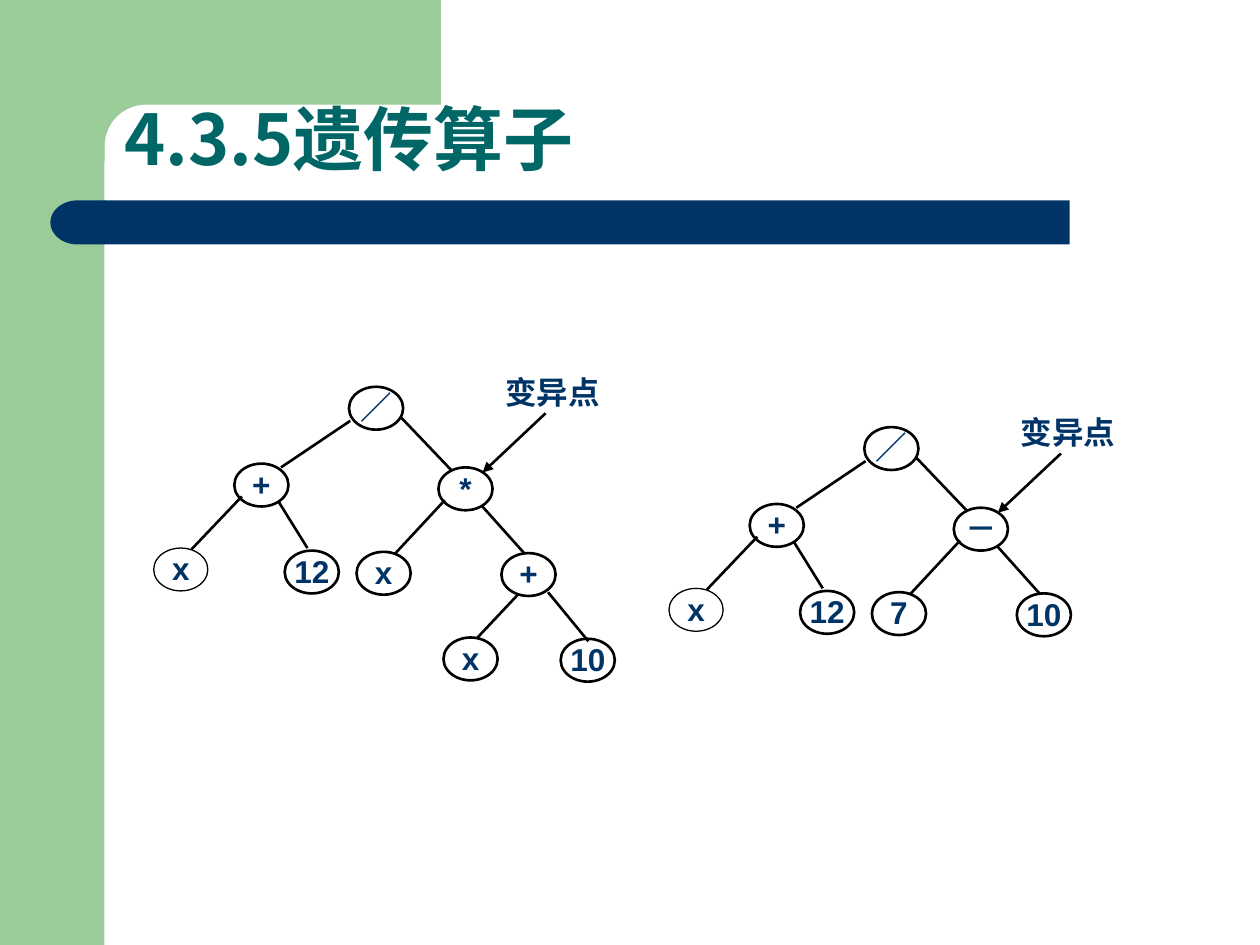
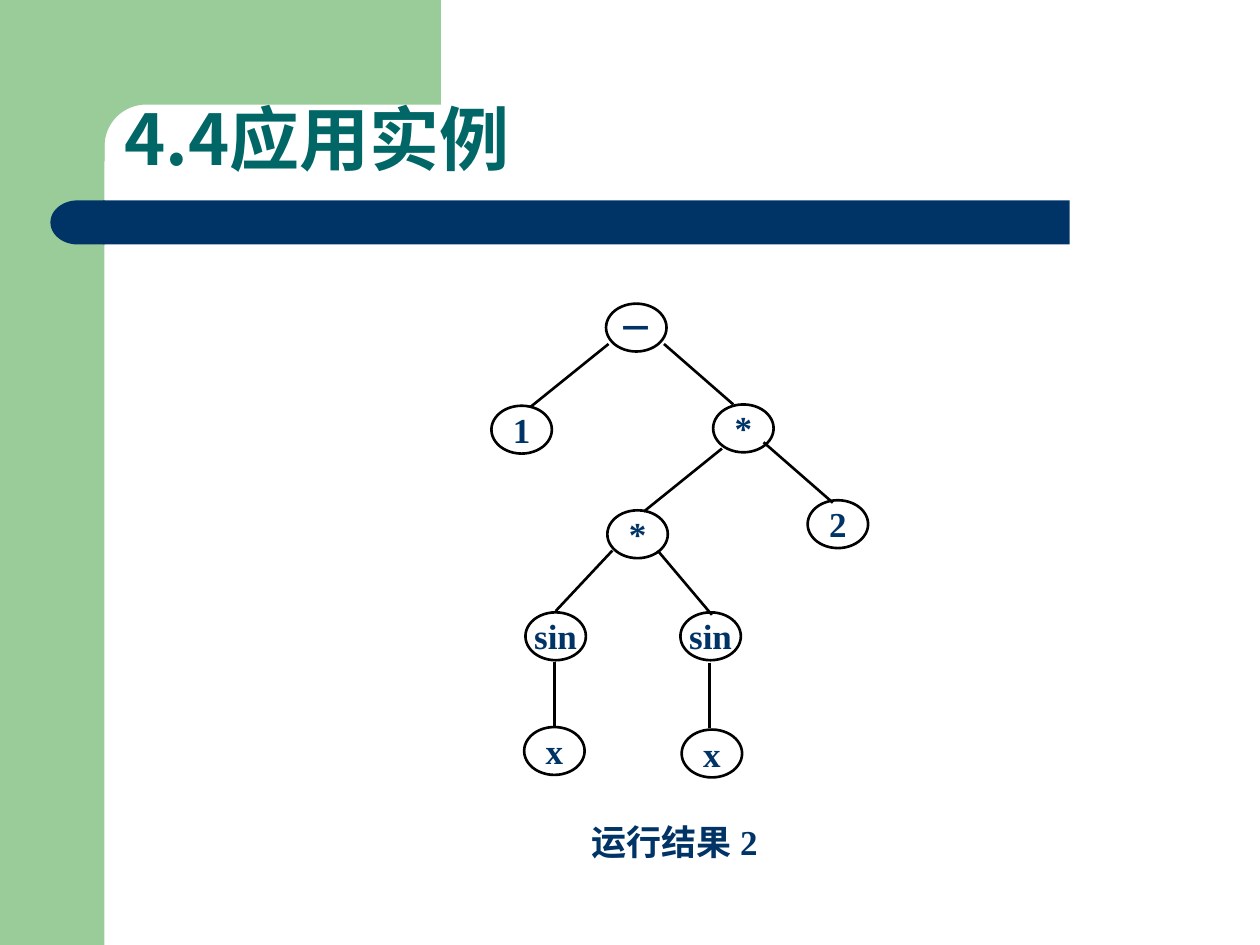
from dataclasses import dataclass
from math import cos, pi, sin

from lxml import etree
from pptx import Presentation
from pptx.dml.color import RGBColor
from pptx.enum.shapes import MSO_CONNECTOR, MSO_SHAPE
from pptx.enum.text import MSO_ANCHOR, PP_ALIGN
from pptx.oxml.ns import qn
from pptx.util import Inches, Pt

RECTANGLE = MSO_SHAPE.RECTANGLE
OVAL = MSO_SHAPE.OVAL
DELAY = MSO_SHAPE.FLOWCHART_DELAY
STRAIGHT = MSO_CONNECTOR.STRAIGHT
LEFT, CENTER, JUSTIFY = PP_ALIGN.LEFT, PP_ALIGN.CENTER, PP_ALIGN.JUSTIFY
TOP, BOTTOM = MSO_ANCHOR.TOP, MSO_ANCHOR.BOTTOM


@dataclass(frozen=True)
class Theme:
    """Colours, fonts and sizes shared by the slides."""
    green: str = "99CC99"
    navy: str = "003366"
    teal: str = "006666"
    white: str = "FFFFFF"
    black: str = "000000"
    chinese: str = "Noto Sans CJK SC"
    sans: str = "Arial"
    serif: str = "Times New Roman"
    title_size: float = 40
    small_size: float = 18
    large_size: float = 20
    line_width: float = 1.5
    thin_width: float = 0.75


@dataclass(frozen=True)
class NodeStyle:
    """Size and lettering of the nodes of a tree."""
    width: float
    height: float
    inset_y: float
    font: str
    size: float


THEME = Theme()
SMALL_NODE = NodeStyle(0.43, 0.34, 0.01, THEME.sans, THEME.small_size)
LARGE_NODE = NodeStyle(0.48, 0.38, 0.02, THEME.serif, THEME.large_size)
NODE_INSET_X = 0.06


def color(value):
    """Turn a hex string into a colour."""
    return RGBColor.from_string(value)


def add_text(slide, text, box, *, font, size, fill=THEME.navy, align=CENTER,
             anchor=TOP, insets=(0, 0), spacing=None):
    """Add a bold one-paragraph text box."""
    frame = slide.shapes.add_textbox(*map(Inches, box)).text_frame
    frame.word_wrap = True
    frame.vertical_anchor = anchor
    frame.margin_left = frame.margin_right = Inches(insets[0])
    frame.margin_top = frame.margin_bottom = Inches(insets[1])
    paragraph = frame.paragraphs[0]
    paragraph.alignment = align
    if spacing:
        paragraph.line_spacing = spacing
    run = paragraph.add_run()
    run.text = text
    run.font.name = font
    run.font.size = Pt(size)
    run.font.bold = True
    run.font.color.rgb = color(fill)
    east_asian = etree.SubElement(run.font._element, qn("a:ea"))
    east_asian.set("typeface", THEME.chinese)


def paint(shape, fill, line=None, width=THEME.line_width):
    """Give a shape a flat fill and an optional outline."""
    shape.shadow.inherit = False
    shape.fill.solid()
    shape.fill.fore_color.rgb = color(fill)
    if line:
        shape.line.color.rgb = color(line)
        shape.line.width = Pt(width)
    else:
        shape.line.fill.background()


def add_shape(slide, kind, box, fill, **outline):
    """Add a painted preset shape."""
    shape = slide.shapes.add_shape(kind, *map(Inches, box))
    paint(shape, fill, **outline)
    return shape


def add_corner(slide):
    """Draw the top green block with its rounded inner corner."""
    center, radius, steps = 1.16, 0.33, 16
    angles = [pi / 2 * step / steps for step in range(steps + 1)]
    arc = [(center - radius * sin(angle), center - radius * cos(angle))
           for angle in angles]
    outline = [(3.5, 0), (3.5, 0.83), *arc, (0.83, 1.28), (0.5, 1.28)]
    builder = slide.shapes.build_freeform(Inches(0.5), 0)
    builder.add_line_segments([(Inches(x), Inches(y)) for x, y in outline])
    paint(builder.convert_to_shape(), THEME.green)


def add_titled_slide(presentation, title):
    """Add a slide with the shared bands and its title."""
    slide = presentation.slides.add_slide(presentation.slide_layouts[6])
    add_shape(slide, RECTANGLE, (0, 0, 0.83, 7.5), THEME.green)
    add_corner(slide)
    add_shape(slide, RECTANGLE, (0.82, 1.59, 7.67, 0.35), THEME.navy)
    add_shape(slide, DELAY, (0.4, 1.59, 0.43, 0.35), THEME.navy).rotation = 180
    add_text(slide, title, (0.89, 0.35, 8.54, 1.13), font=THEME.chinese,
             size=THEME.title_size, fill=THEME.teal, align=LEFT, anchor=BOTTOM,
             insets=(0.1, 0.05), spacing=0.9)
    return slide


def add_link(slide, start_x, start_y, end_x, end_y, arrow=False):
    """Draw a straight link, with an arrowhead at its end if asked."""
    ends = map(Inches, (start_x, start_y, end_x, end_y))
    link = slide.shapes.add_connector(STRAIGHT, *ends)
    link.line.color.rgb = color(THEME.black)
    link.line.width = Pt(THEME.line_width)
    if arrow:
        head = etree.SubElement(link.line._get_or_add_ln(), qn("a:tailEnd"))
        head.set("type", "triangle")
    etree.SubElement(link._element.spPr, qn("a:effectLst"))


def add_node(slide, text, left, top, style, width=THEME.line_width):
    """Draw an oval tree node with its label."""
    add_shape(slide, OVAL, (left, top, style.width, style.height), THEME.white,
              line=THEME.black, width=width)
    box = (left + NODE_INSET_X, top + style.inset_y,
           style.width - 2 * NODE_INSET_X, style.height - 0.03)
    add_text(slide, text, box, font=style.font, size=style.size)


def add_tree(slide, nodes, links, style, shift=(0, 0)):
    """Draw the nodes and links of a tree, moved by a shift."""
    shift_x, shift_y = shift
    for text, left, top, *width in nodes:
        add_node(slide, text, left + shift_x, top + shift_y, style, *width)
    for start_x, start_y, end_x, end_y in links:
        add_link(slide, start_x + shift_x, start_y + shift_y,
                 end_x + shift_x, end_y + shift_y)


def add_mutation_tree(slide, operator, left_child, right_child, shift=(0, 0)):
    """Draw an expression tree whose right operator is the mutation point."""
    nodes = [("／", 2.77, 3.07), ("+", 1.86, 3.68),
             ("x", 1.22, 4.35, THEME.thin_width), ("12", 2.26, 4.37),
             (operator, 3.48, 3.71), (left_child, 2.83, 4.38),
             (right_child, 3.98, 4.39)]
    links = [(2.78, 3.34, 2.23, 3.71), (3.18, 3.31, 3.59, 3.74),
             (1.92, 3.94, 1.52, 4.36), (2.21, 3.98, 2.44, 4.35),
             (3.53, 3.97, 3.13, 4.4), (3.82, 4.01, 4.16, 4.39)]
    add_tree(slide, nodes, links, SMALL_NODE, shift)
    shift_x, shift_y = shift
    add_link(slide, 4.33 + shift_x, 3.28 + shift_y,
             3.83 + shift_x, 3.75 + shift_y, arrow=True)
    add_text(slide, "变异点", (4.01 + shift_x, 2.96 + shift_y, 1.07, 0.41),
             font=THEME.serif, size=THEME.small_size, align=JUSTIFY)


def add_operator_slide(presentation):
    """Show a tree before and after mutation."""
    slide = add_titled_slide(presentation, "4.3.5遗传算子")
    add_mutation_tree(slide, "*", "x", "+")
    add_tree(slide, [("x", 3.52, 5.06), ("10", 4.45, 5.07)],
             [(4.11, 4.72, 3.79, 5.06), (4.35, 4.7, 4.67, 5.09)], SMALL_NODE)
    add_mutation_tree(slide, "－", "7", "10", shift=(4.09, 0.32))


def add_example_slide(presentation):
    """Show the tree found by the example run."""
    slide = add_titled_slide(presentation, "4.4应用实例")
    nodes = [("－", 4.81, 2.41), ("1", 3.9, 3.22), ("*", 5.66, 3.21),
             ("*", 4.82, 4.05), ("2", 6.41, 3.97), ("sin", 4.17, 4.86),
             ("sin", 5.4, 4.86), ("x", 4.16, 5.77), ("x", 5.41, 5.79)]
    links = [(4.83, 2.73, 4.21, 3.23), (5.27, 2.73, 5.82, 3.21),
             (5.73, 3.56, 5.11, 4.06), (6.06, 3.51, 6.61, 3.99),
             (4.86, 4.37, 4.41, 4.85), (5.22, 4.37, 5.65, 4.88),
             (4.4, 5.25, 4.4, 5.77), (5.63, 5.26, 5.63, 5.78)]
    add_tree(slide, nodes, links, LARGE_NODE)
    add_text(slide, "运行结果 2", (4.24, 6.51, 2.23, 0.39),
             font=THEME.serif, size=THEME.large_size)


def main():
    """Build and save the presentation."""
    presentation = Presentation()
    presentation.slide_width = Inches(10)
    presentation.slide_height = Inches(7.5)
    add_operator_slide(presentation)
    add_example_slide(presentation)
    presentation.save("out.pptx")


if __name__ == "__main__":
    main()
